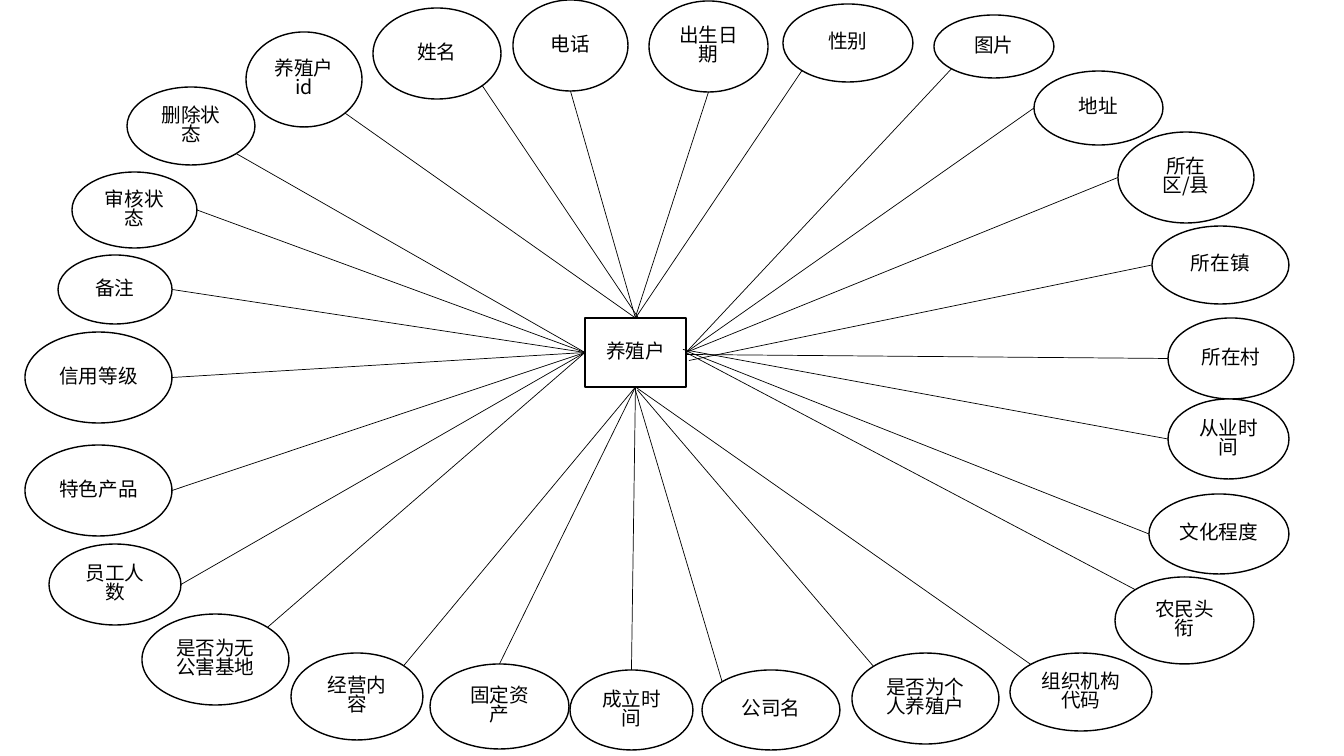
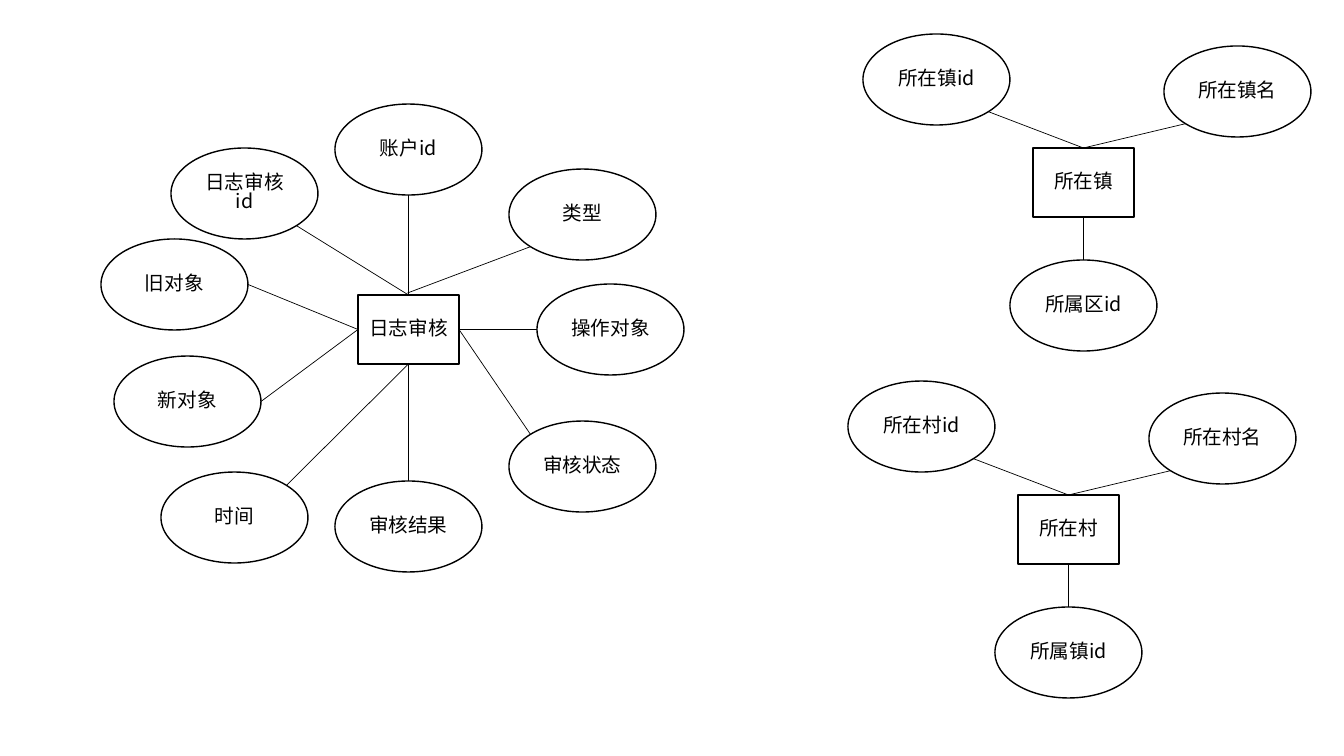
from pptx import Presentation, util as u
from pptx.dml.color import RGBColor
from pptx.enum import shapes, text
from pptx.oxml.ns import qn
from lxml import etree

SCALE = 914400 / 100.8
COLOURS = {"paper": "FFFFFF", "ink": "000000"}
FONT = "Noto Sans CJK SC"
NEAR, FAR = 0.146, 0.854
SITES = {
    "top": (0.5, 0), "bottom": (0.5, 1), "left": (0, 0.5), "right": (1, 0.5),
    "top left": (NEAR, NEAR), "top right": (FAR, NEAR),
    "bottom left": (NEAR, FAR), "bottom right": (FAR, FAR),
}
ENTITY_SIZE = (101, 69)
ATTRIBUTE_SIZE = (147, 91)


def emu(pixels):
    return u.Emu(round(pixels * SCALE))


def colour(name):
    return RGBColor.from_string(COLOURS[name])


def apply(target, values):
    for name, value in values.items():
        setattr(target, name, value)


def site_point(box, site):
    left, top, width, height = box
    across, down = SITES[site]
    return left + width * across, top + height * down


class Diagram:
    frame_format = {"word_wrap": True, "vertical_anchor": text.MSO_ANCHOR.MIDDLE}
    paragraph_format = {"alignment": text.PP_ALIGN.CENTER, "line_spacing": 0.82}
    font_format = {"name": FONT, "size": u.Pt(14)}

    def __init__(self, presentation):
        self.presentation = presentation
        self.slide = None

    def new_slide(self):
        layout = self.presentation.slide_layouts[6]
        self.slide = self.presentation.slides.add_slide(layout)

    def node(self, kind, label, box):
        shape = self.slide.shapes.add_shape(kind, *map(emu, box))
        shape.shadow.inherit = False
        shape.fill.solid()
        shape.fill.fore_color.rgb = colour("paper")
        shape.line.color.rgb = colour("ink")
        shape.line.width = u.Pt(1)
        frame = shape.text_frame
        apply(frame, self.frame_format)
        frame.text = label
        for paragraph in frame.paragraphs:
            apply(paragraph, self.paragraph_format)
            for run in paragraph.runs:
                apply(run.font, self.font_format)
                run.font.color.rgb = colour("ink")
                properties = run._r.get_or_add_rPr()
                etree.SubElement(properties, qn("a:ea"), typeface=FONT)

    def entity(self, label, box):
        self.node(shapes.MSO_SHAPE.RECTANGLE, label, box)

    def attribute(self, label, box):
        self.node(shapes.MSO_SHAPE.OVAL, label, box)

    def link(self, start, end):
        connector = self.slide.shapes.add_connector(
            shapes.MSO_CONNECTOR.STRAIGHT, *map(emu, (*start, *end)))
        connector.line.color.rgb = colour("ink")
        connector.line.width = u.Pt(0.5)
        etree.SubElement(connector._element.spPr, qn("a:effectLst"))

    def relation(self, name, position, sides):
        entity_box = (*position, *ENTITY_SIZE)
        self.entity(name, entity_box)
        for side, attributes in sides.items():
            for label, box, site, *nudge in attributes:
                self.attribute(label, box)
                x, y = site_point(entity_box, side)
                dx, dy = nudge or (0, 0)
                self.link(site_point(box, site), (x + dx, y + dy))


FARMER = {
    "top": [
        ("养殖户\nid", (246, 32, 116, 95), "bottom right"),
        ("姓名", (373, 8, 128, 91), "bottom right", 3, 0),
        ("电话", (513, 0, 115, 91), "bottom"),
        ("出生日期", (649, 1, 119, 91), "bottom", 0, -1),
        ("性别", (783, 4, 130, 78), "bottom left"),
    ],
    "right": [
        ("图片", (934, 15, 120, 63), "bottom left"),
        ("地址", (1034, 71, 129, 74), "left"),
        ("所在区/县", (1118, 132, 136, 91), "left"),
        ("所在镇", (1152, 226, 137, 78), "left", 3, 8),
        ("所在村", (1168, 318, 126, 81), "left", 0, 2),
        ("从业时间", (1168, 399, 121, 80), "left", -3, -3),
        ("文化程度", (1149, 494, 140, 80), "left", -1, -2),
        ("农民头衔", (1115, 577, 139, 87), "top left"),
    ],
    "bottom": [
        ("组织机构代码", (1010, 653, 142, 78), "top left"),
        ("是否为个人养殖户", (852, 653, 147, 91), "top left", 2, 3),
        ("公司名", (702, 670, 138, 80), "top left", -1, 0),
        ("成立时间", (570, 670, 123, 80), "top"),
        ("固定资产", (430, 664, 139, 85), "top"),
        ("经营内容", (291, 653, 132, 87), "top right"),
    ],
    "left": [
        ("是否为无公害基地", (142, 614, 147, 91), "top right"),
        ("员工人数", (49, 544, 132, 81), "right"),
        ("特色产品", (25, 445, 147, 91), "right"),
        ("信用等级", (25, 332, 147, 91), "right"),
        ("备注", (58, 255, 114, 69), "right"),
        ("审核状态", (72, 172, 125, 76), "right"),
        ("删除状态", (127, 87, 128, 78), "bottom right"),
    ],
}


def standard(left, top):
    return (left, top, *ATTRIBUTE_SIZE)


AUDIT_LOG = {
    "top": [
        ("日志审核id", standard(171, 148), "bottom right"),
        ("账户id", standard(335, 104), "bottom"),
        ("类型", standard(509, 169), "bottom left", -1, -2),
    ],
    "right": [
        ("操作对象", standard(537, 284), "left"),
        ("审核状态", standard(509, 421), "top left"),
    ],
    "bottom": [
        ("审核结果", standard(335, 481), "top"),
        ("时间", standard(161, 472), "top right"),
    ],
    "left": [
        ("新对象", standard(114, 356), "right"),
        ("旧对象", standard(101, 239), "right"),
    ],
}


def place_sides(place, parent, left, top):
    return {
        "top": [
            (f"所在{place}id", standard(left - 170, top - 114), "bottom right"),
            (f"所在{place}名", standard(left + 131, top - 102), "bottom left"),
        ],
        "bottom": [
            (f"所属{parent}id", standard(left - 23, top + 112), "top"),
        ],
    }


presentation = Presentation()
presentation.slide_width = emu(1344)
presentation.slide_height = emu(756)
diagram = Diagram(presentation)

diagram.new_slide()
diagram.relation("养殖户", (585, 318), FARMER)

diagram.new_slide()
diagram.relation("日志审核", (358, 295), AUDIT_LOG)
for place, parent, left, top in (("镇", "区", 1033, 148), ("村", "镇", 1018, 495)):
    diagram.relation(f"所在{place}", (left, top), place_sides(place, parent, left, top))

presentation.save("out.pptx")
